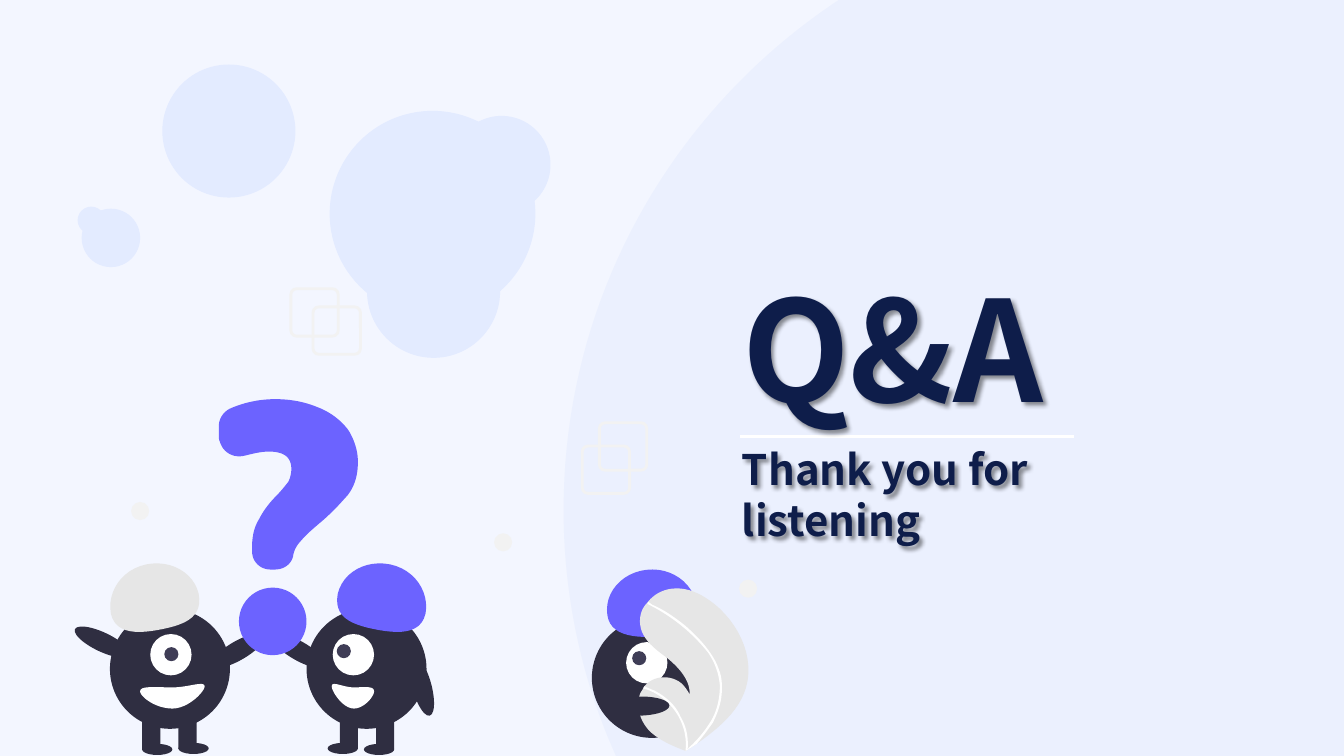
from dataclasses import dataclass

from lxml import etree
from pptx import Presentation
from pptx import util as u
from pptx.dml.color import RGBColor
from pptx.enum import shapes, text
from pptx.oxml.ns import qn


@dataclass(frozen=True)
class Theme:
    font: str = "Noto Sans CJK KR"
    background: str = "F3F6FF"
    arc: str = "8FACFC"
    bubble: str = "E3EBFF"
    navy: str = "0E1D4A"
    violet: str = "6C63FF"
    dark: str = "2F2E41"
    pupil: str = "3F3D56"
    gray: str = "E6E6E6"
    pale: str = "F2F2F2"
    white: str = "FFFFFF"
    title_size: int = 100
    subtitle_size: int = 30
    leading: float = 1.21


class SlideBuilder:
    def __init__(self, presentation, theme):
        self.theme = theme
        self.slide = presentation.slides.add_slide(presentation.slide_layouts[5])
        fill = self.slide.background.fill
        fill.solid()
        fill.fore_color.rgb = RGBColor.from_string(theme.background)

    def paint(self, shape, color):
        shape.shadow.inherit = False
        shape.fill.solid()
        shape.fill.fore_color.rgb = RGBColor.from_string(color)
        shape.line.fill.background()
        return shape

    def preset(self, kind, box, color, rotation=0):
        shape = self.slide.shapes.add_shape(kind, *map(u.Inches, box))
        shape.rotation = rotation
        return self.paint(shape, color)

    def oval(self, box, color, rotation=0):
        return self.preset(shapes.MSO_SHAPE.OVAL, box, color, rotation)

    def circle(self, left, top, size, color):
        return self.oval((left, top, size, size), color)

    def square_frame(self, left, top):
        box = (left + 0.015, top + 0.015, 0.47, 0.47)
        shape = self.preset(shapes.MSO_SHAPE.ROUNDED_RECTANGLE, box, self.theme.pale)
        shape.adjustments[0] = 0.12
        shape.fill.background()
        shape.line.color.rgb = RGBColor.from_string(self.theme.pale)
        shape.line.width = u.Pt(2)

    def outline(self, segments, color, steps=12):
        current = segments[0]
        points = [current]
        for segment in segments[1:]:
            if len(segment) == 2:
                points.append(segment)
            else:
                corners = [current, segment[:2], segment[2:4], segment[4:]]
                for step in range(1, steps + 1):
                    t = step / steps
                    weights = ((1 - t) ** 3, 3 * t * (1 - t) ** 2, 3 * t * t * (1 - t), t ** 3)
                    points.append(tuple(
                        sum(weight * corner[axis] for weight, corner in zip(weights, corners))
                        for axis in (0, 1)))
            current = segment[-2:]
        points = [(u.Inches(x), u.Inches(y)) for x, y in points]
        builder = self.slide.shapes.build_freeform(*points[0])
        builder.add_line_segments(points[1:], close=True)
        return self.paint(builder.convert_to_shape(), color)

    def set_opacity(self, shape, percent):
        color = next(shape.element.spPr.iter(qn("a:srgbClr")))
        etree.SubElement(color, qn("a:alpha"), val=str(percent * 1000))

    def rule(self, left, right, y):
        line = self.slide.shapes.add_connector(
            shapes.MSO_CONNECTOR.STRAIGHT, *map(u.Inches, (left, y, right, y)))
        line.line.color.rgb = RGBColor.from_string(self.theme.white)
        line.line.width = u.Pt(1.5)
        etree.SubElement(line.element.spPr, qn("a:effectLst"))

    def set_text(self, shape, words, box, size):
        shape.left, shape.top, shape.width, shape.height = map(u.Inches, box)
        frame = shape.text_frame
        frame.text = words
        frame.word_wrap = True
        frame.auto_size = text.MSO_AUTO_SIZE.NONE
        frame.vertical_anchor = text.MSO_ANCHOR.TOP
        paragraph = frame.paragraphs[0]
        paragraph.alignment = text.PP_ALIGN.LEFT
        paragraph.line_spacing = u.Pt(size * self.theme.leading)
        font = paragraph.font
        font.name, font.size, font.bold = self.theme.font, u.Pt(size), True
        font.color.rgb = RGBColor.from_string(self.theme.navy)
        shape.fill.background()
        shape.shadow.inherit = False
        effects = shape.element.spPr.find(qn("a:effectLst"))
        shadow = etree.SubElement(effects, qn("a:outerShdw"), blurRad="38100",
                                  dist="38100", dir="2700000", algn="tl")
        color = etree.SubElement(shadow, qn("a:srgbClr"), val="000000")
        etree.SubElement(color, qn("a:alpha"), val="43000")

    def title(self, words, box):
        shape = self.slide.shapes.title
        self.slide.shapes.element.append(shape.element)
        self.set_text(shape, words, box, self.theme.title_size)

    def subtitle(self, words, box):
        shape = self.slide.shapes.add_textbox(*map(u.Inches, box))
        self.set_text(shape, words, box, self.theme.subtitle_size)

    def creature(self, mirrored, hat_color, eye_left, pupil, outer_arm, mouth):
        theme = self.theme

        def flip(box):
            left, top, width, height = box
            return (5.32 - left - width if mirrored else left, top, width, height)

        for foot in ((1.41, 7.38, 0.3, 0.11), (1.77, 7.37, 0.3, 0.11)):
            self.oval(flip(foot), theme.dark)
        self.oval(flip((2.06, 6.36, 0.6, 0.19)), theme.dark, 30 if mirrored else 330)
        self.oval(flip((1.09, 6.04, 1.19, 1.19)), theme.dark)
        for leg_left in (1.41, 1.77):
            self.preset(shapes.MSO_SHAPE.RECTANGLE, flip((leg_left, 7.11, 0.18, 0.32)), theme.dark)
        self.circle(eye_left, 6.29, 0.41, theme.white)
        self.circle(*pupil, 0.14, theme.pupil)
        hat = [(1.1, 6.09), (1.06, 5.87, 1.21, 5.65, 1.45, 5.6),
               (1.69, 5.55, 1.92, 5.68, 1.97, 5.89), (2.01, 6.11, 1.86, 6.19, 1.62, 6.24),
               (1.38, 6.29, 1.15, 6.3, 1.1, 6.09)]
        if mirrored:
            hat = [tuple(5.32 - value if index % 2 == 0 else value
                         for index, value in enumerate(segment)) for segment in hat]
        self.outline(hat, hat_color)
        self.oval(outer_arm[:4], theme.dark, outer_arm[4])
        self.outline(mouth, theme.white)


ARC = [(8.32, 0), (13.33, 0), (13.33, 7.5), (6.11, 7.5), (6.07, 7.41),
       (5.76, 6.69, 5.59, 5.89, 5.59, 5.06), (5.59, 2.97, 6.65, 1.13, 8.26, 0.04)]
SIDE_HAT = [(6.44, 6.32), (6.2, 6.32, 6.02, 6.27, 6.02, 6.05), (6.02, 5.83, 6.22, 5.65, 6.47, 5.65),
            (6.71, 5.65, 6.91, 5.83, 6.91, 6.05), (6.91, 6.28, 6.68, 6.32, 6.44, 6.32)]
LEAF = [(7.4, 6.82), (7.33, 7.06, 7.12, 7.23, 6.91, 7.38), (6.88, 7.4, 6.85, 7.42, 6.8, 7.45),
        (6.67, 7.4, 6.55, 7.35, 6.45, 7.26), (6.35, 7.16, 6.3, 7.01, 6.35, 6.88),
        (6.36, 6.86, 6.37, 6.85, 6.39, 6.81), (6.48, 6.7, 6.65, 6.69, 6.76, 6.78),
        (6.79, 6.81, 6.82, 6.85, 6.84, 6.89), (6.85, 6.75, 6.73, 6.62, 6.62, 6.53),
        (6.5, 6.44, 6.37, 6.35, 6.35, 6.2), (6.34, 6.12, 6.36, 6.04, 6.42, 5.98),
        (6.48, 5.9, 6.57, 5.85, 6.67, 5.84), (6.84, 5.82, 7.01, 5.92, 7.14, 6.04),
        (7.35, 6.24, 7.48, 6.54, 7.4, 6.82)]
VEINS = [(7.06, 6.5), (7.1, 6.56, 7.12, 6.61, 7.14, 6.67), (7.16, 6.73, 7.16, 6.78, 7.16, 6.84),
         (7.16, 6.96, 7.12, 7.07, 7.07, 7.17), (7.02, 7.24, 6.97, 7.31, 6.91, 7.38),
         (6.88, 7.4, 6.85, 7.42, 6.8, 7.45), (6.82, 7.27, 6.75, 7.08, 6.61, 6.96),
         (6.55, 6.9, 6.46, 6.85, 6.38, 6.83), (6.39, 6.81), (6.42, 6.82, 6.46, 6.84, 6.49, 6.85),
         (6.6, 6.91, 6.7, 6.99, 6.75, 7.11), (6.81, 7.21, 6.83, 7.32, 6.82, 7.44), (6.83, 7.42),
         (6.93, 7.33, 7.01, 7.23, 7.07, 7.12), (7.12, 7.02, 7.14, 6.91, 7.14, 6.8),
         (7.13, 6.68, 7.09, 6.57, 7.02, 6.47), (6.94, 6.37, 6.85, 6.28, 6.75, 6.2),
         (6.65, 6.12, 6.54, 6.05, 6.42, 5.99), (6.43, 5.97), (6.47, 6),
         (6.59, 6.05, 6.7, 6.13, 6.8, 6.21), (6.9, 6.3, 6.99, 6.39, 7.06, 6.5)]
QUESTION_HOOK = [
    (2.73, 5.65), (2.68, 5.65), (2.58, 5.65, 2.5, 5.57, 2.5, 5.47), (2.5, 5.43),
    (2.5, 5.32, 2.52, 5.23, 2.57, 5.15), (2.61, 5.07, 2.67, 4.99, 2.74, 4.92),
    (2.78, 4.88, 2.82, 4.83, 2.86, 4.78), (2.88, 4.74, 2.89, 4.69, 2.89, 4.65),
    (2.89, 4.54, 2.82, 4.48, 2.67, 4.48), (2.59, 4.48, 2.51, 4.5, 2.43, 4.52),
    (2.32, 4.55, 2.21, 4.49, 2.18, 4.38), (2.17, 4.36, 2.17, 4.34, 2.17, 4.32), (2.17, 4.23),
    (2.17, 4.15, 2.22, 4.08, 2.29, 4.05), (2.43, 3.99, 2.58, 3.96, 2.73, 3.96),
    (2.89, 3.96, 3.03, 3.99, 3.15, 4.04), (3.28, 4.09, 3.38, 4.17, 3.45, 4.26),
    (3.51, 4.35, 3.55, 4.47, 3.55, 4.58), (3.55, 4.71, 3.52, 4.82, 3.45, 4.91),
    (3.38, 4.99, 3.29, 5.09, 3.17, 5.19), (3.1, 5.25, 3.04, 5.3, 2.99, 5.36),
    (2.95, 5.4, 2.92, 5.45, 2.91, 5.5), (2.9, 5.59, 2.82, 5.65, 2.73, 5.65)]
LEFT_MOUTH = [(1.39, 6.86), (1.39, 6.91, 1.54, 7.03, 1.71, 7.03), (1.87, 7.03, 2.03, 6.86, 2.03, 6.81),
              (2.03, 6.75, 1.87, 6.82, 1.71, 6.82), (1.54, 6.82, 1.39, 6.8, 1.39, 6.86)]
RIGHT_MOUTH = [(3.51, 6.82), (3.4, 6.82, 3.29, 6.75, 3.29, 6.81), (3.29, 6.86, 3.4, 7.03, 3.51, 7.03),
               (3.61, 7.03, 3.71, 6.91, 3.71, 6.86), (3.71, 6.8, 3.61, 6.82, 3.51, 6.82)]


def main():
    theme = Theme()
    presentation = Presentation()
    presentation.slide_width, presentation.slide_height = u.Inches(13.33), u.Inches(7.5)
    page = SlideBuilder(presentation, theme)

    page.set_opacity(page.outline(ARC, theme.arc, 40), 8)
    for corner in ((3.09, 3.03), (2.87, 2.85), (5.76, 4.41), (5.93, 4.18)):
        page.square_frame(*corner)

    page.circle(5.87, 6.13, 1.19, theme.dark)
    page.circle(6.21, 6.37, 0.41, theme.white)
    page.circle(6.27, 6.46, 0.14, theme.pupil)
    for segments, color in ((SIDE_HAT, theme.violet), (LEAF, theme.gray), (VEINS, theme.white)):
        page.outline(segments, color)
    page.creature(False, theme.gray, 1.49, (1.63, 6.42), (0.92, 6.07, 0.19, 0.6, 295.4), LEFT_MOUTH)
    page.creature(True, theme.violet, 3.3, (3.34, 6.39), (4.09, 6.51, 0.19, 0.6, 345.1), RIGHT_MOUTH)
    page.outline(QUESTION_HOOK, theme.violet)
    page.circle(2.37, 5.83, 0.67, theme.violet)
    page.oval((6.04, 6.91, 0.6, 0.19), theme.dark, 358.9)

    for left, top in ((4.9, 5.29), (1.3, 4.98), (7.33, 5.75)):
        page.circle(left, top, 0.18, theme.pale)
    page.rule(7.34, 10.65, 4.33)
    page.title("Q&A", (7.26, 2.54, 3.48, 1.78))
    page.subtitle("Thank you for listening", (7.26, 4.35, 3.48, 1.12))
    for left, top, size in ((3.27, 1.1, 2.04), (3.64, 2.23, 1.32), (1.61, 0.64, 1.32),
                            (0.81, 2.07, 0.58), (4.49, 1.15, 0.97), (0.77, 2.05, 0.27)):
        page.circle(left, top, size, theme.bubble)
    presentation.save("out.pptx")


if __name__ == "__main__":
    main()
